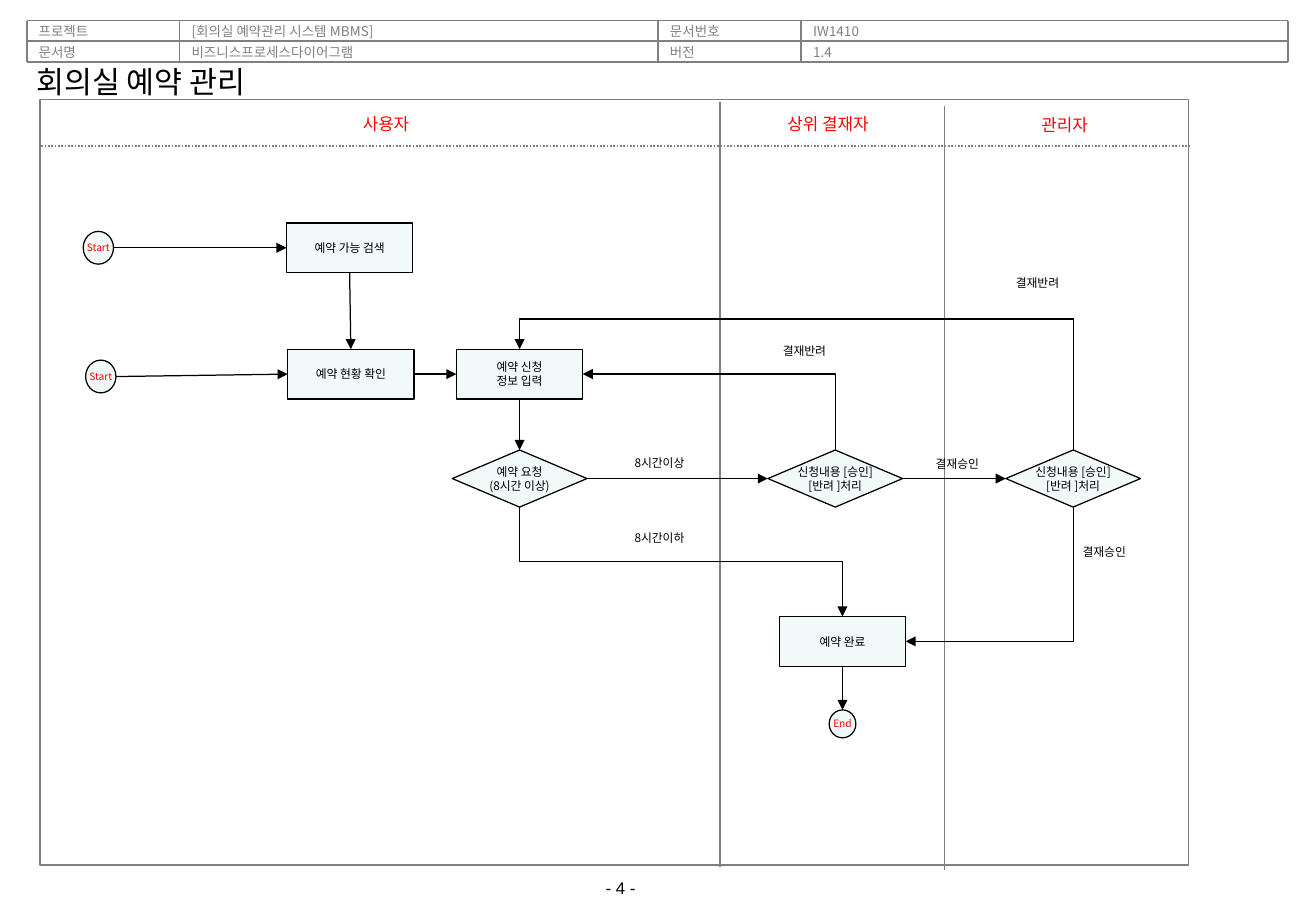
"""Build the meeting room reservation swimlane slide."""
from itertools import product
from lxml.etree import SubElement
from pptx import Presentation
from pptx.dml.color import RGBColor
from pptx.enum.dml import MSO_LINE
from pptx.enum.shapes import MSO_CONNECTOR as LINK, MSO_SHAPE as SHAPE
from pptx.enum.text import MSO_ANCHOR as ANCHOR, PP_ALIGN as ALIGN
from pptx.oxml.ns import qn
from pptx.util import Inches, Pt

COLORS = {"ink": "000000", "frame": "808080", "node": "F1F9F9",
          "accent": "FF0000", "paper": "FFFFFF"}
KOREAN = "Noto Sans CJK KR"

deck = Presentation()
deck.slide_width, deck.slide_height = Inches(10.84), Inches(7.5)
slide = deck.slides.add_slide(deck.slide_layouts[6])
shapes = slide.shapes


def write(box, text, size, color="ink", align=ALIGN.LEFT, wrap=True, margin=0.05, face=KOREAN):
    """Fill a box with vertically centred lines of text."""
    frame = box.text_frame
    layout = {"word_wrap": wrap, "vertical_anchor": ANCHOR.MIDDLE,
              "margin_left": Inches(0.1), "margin_right": Inches(0.1),
              "margin_top": Inches(margin), "margin_bottom": Inches(margin)}
    for key, value in layout.items():
        setattr(frame, key, value)
    frame.text = text
    for paragraph in frame.paragraphs:
        paragraph.alignment = align
        for run in paragraph.runs:
            run.font.size, run.font.name = Pt(size), face
            run.font.color.rgb = RGBColor.from_string(COLORS[color])
            SubElement(run.font._element, qn("a:ea"), typeface=face)


def connect(start, end, color="frame", width=1, kind=LINK.STRAIGHT, arrow=False):
    """Draw a connector without a shadow between two points."""
    link = shapes.add_connector(kind, *map(Inches, (*start, *end)))
    link.line.color.rgb = RGBColor.from_string(COLORS[color])
    link.line.width = Pt(width)
    if arrow:
        SubElement(link.line._get_or_add_ln(), qn("a:tailEnd"), type="triangle")
    SubElement(link._element.spPr, qn("a:effectLst"))
    return link


header_x = [0.22, 1.48, 5.42, 6.6, 10.61]
header_y = [0.17, 0.34, 0.51]
header_text = [["프로젝트", "[회의실 예약관리 시스템 MBMS]", "문서번호", "IW1410"],
               ["문서명", "비즈니스프로세스다이어그램", "버전", "1.4"]]
for row, column in product(range(2), range(4)):
    left, right = header_x[column:column + 2]
    top, bottom = header_y[row:row + 2]
    cell = shapes.add_shape(SHAPE.RECTANGLE, *map(Inches, (left, top, right - left, bottom - top)))
    cell.shadow.inherit = False
    cell.fill.solid()
    cell.fill.fore_color.rgb = RGBColor.from_string(COLORS["paper"])
    cell.line.fill.background()
    write(cell, header_text[row][column], 8, "frame", margin=0.02)
for x in header_x:
    connect((x, header_y[0]), (x, header_y[-1]))
for y in header_y:
    connect((header_x[0], y), (header_x[-1], y))

lanes = shapes.add_shape(SHAPE.RECTANGLE, *map(Inches, (0.33, 0.82, 9.46, 6.3)))
lanes.shadow.inherit = False
lanes.fill.background()
lanes.line.color.rgb = RGBColor.from_string(COLORS["frame"])
lanes.line.width = Pt(1)
connect((5.93, 0.84), (5.93, 7.14))
connect((7.78, 0.87), (7.78, 7.16))
connect((0.34, 1.2), (9.8, 1.2)).line.dash_style = MSO_LINE.ROUND_DOT

captions = [
    ("회의실 예약 관리", 0.2, 0.47, 3.73, 0.4, {"size": 18}),
    ("- 4 -", 4.89, 7.17, 1, 0.27, {"size": 10, "face": "Arial"}),
]
lane_style = {"size": 10, "color": "accent", "align": ALIGN.CENTER}
for text, center, top in [("사용자", 3.18, 0.87), ("상위 결재자", 6.82, 0.87), ("관리자", 8.77, 0.88)]:
    captions.append((text, center - 1.1, top, 2.2, 0.3, lane_style))
for text, left, top, width in [
    ("결재반려", 6.35, 2.78, 0.56), ("결재반려", 8.27, 2.22, 0.56),
    ("결재승인", 8.82, 4.43, 0.56), ("결재승인", 7.61, 3.71, 0.56),
    ("8시간이상", 5.13, 3.7, 0.64), ("8시간이하", 5.13, 4.32, 0.64),
]:
    captions.append((text, left, top, width, 0.22, {"size": 7, "wrap": False}))
for text, left, top, width, height, style in captions:
    write(shapes.add_textbox(*map(Inches, (left, top, width, height))), text, **style)

step = (SHAPE.FLOWCHART_PROCESS, 1.04, 0.41, 7, "ink")
decision = (SHAPE.FLOWCHART_DECISION, 1.11, 0.47, 7, "ink")
start_mark = (SHAPE.OVAL, 0.25, 0.27, 6, "accent")
end_mark = (SHAPE.OVAL, 0.22, 0.23, 6, "accent")
review = "신청내용 [승인]\n[반려 ]처리"
nodes = {
    "search start": (start_mark, 0.81, 2.04, "Start"),
    "check start": (start_mark, 0.83, 3.1, "Start"),
    "search": (step, 2.88, 2.04, "예약 가능 검색"),
    "check": (step, 2.89, 3.08, "예약 현황 확인"),
    "apply": (step, 4.28, 3.08, "예약 신청\n정보 입력"),
    "request": (decision, 4.28, 3.94, "예약 요청\n(8시간 이상)"),
    "approver": (decision, 6.88, 3.94, review),
    "manager": (decision, 8.84, 3.94, review),
    "done": (step, 6.94, 5.28, "예약 완료"),
    "end": (end_mark, 6.94, 5.96, "End"),
}
ports = {}
for name, ((outline, width, height, size, color), x, y, text) in nodes.items():
    node = shapes.add_shape(outline, *map(Inches, (x - width / 2, y - height / 2, width, height)))
    node.shadow.inherit = False
    node.fill.solid()
    node.fill.fore_color.rgb = RGBColor.from_string(COLORS["node"])
    node.line.color.rgb = RGBColor.from_string(COLORS["ink"])
    node.line.width = Pt(0.75)
    write(node, text, size, color, ALIGN.CENTER, wrap=False)
    ports[name] = {"left": (x - width / 2, y), "right": (x + width / 2, y),
                   "top": (x, y - height / 2), "bottom": (x, y + height / 2)}

arrow_style = {"color": "ink", "width": 0.75, "arrow": True}
for source, exit_side, target, entry_side in [
    ("search start", "right", "search", "left"), ("check start", "right", "check", "left"),
    ("search", "bottom", "check", "top"), ("check", "right", "apply", "left"),
    ("apply", "bottom", "request", "top"), ("request", "right", "approver", "left"),
    ("approver", "right", "manager", "left"), ("done", "bottom", "end", "top"),
]:
    connect(ports[source][exit_side], ports[target][entry_side], **arrow_style)

for source, exit_side, target, entry_side, preset, bend in [
    ("manager", "top", "apply", "top", "bentConnector3", 129900),
    ("approver", "top", "apply", "right", "bentConnector2", None),
    ("manager", "bottom", "done", "right", "bentConnector2", None),
    ("request", "bottom", "done", "top", "bentConnector3", 50000),
]:
    (x1, y1), (x2, y2) = ports[source][exit_side], ports[target][entry_side]
    down = 1 if y2 > y1 else -1
    mid_x, mid_y = (x1 + x2) / 2, (y1 + y2) / 2
    half_w, half_h = abs(y2 - y1) / 2, down * (x1 - x2) / 2
    route = connect((mid_x - half_w, mid_y - half_h), (mid_x + half_w, mid_y + half_h),
                    kind=LINK.ELBOW, **arrow_style)
    properties = route._element.spPr
    properties.find(qn("a:xfrm")).set("rot", str((180 - 90 * down) * 60000))
    geometry = properties.find(qn("a:prstGeom"))
    geometry.set("prst", preset)
    if bend:
        SubElement(geometry.find(qn("a:avLst")), qn("a:gd"), name="adj1", fmla=f"val {bend}")

deck.save("out.pptx")
